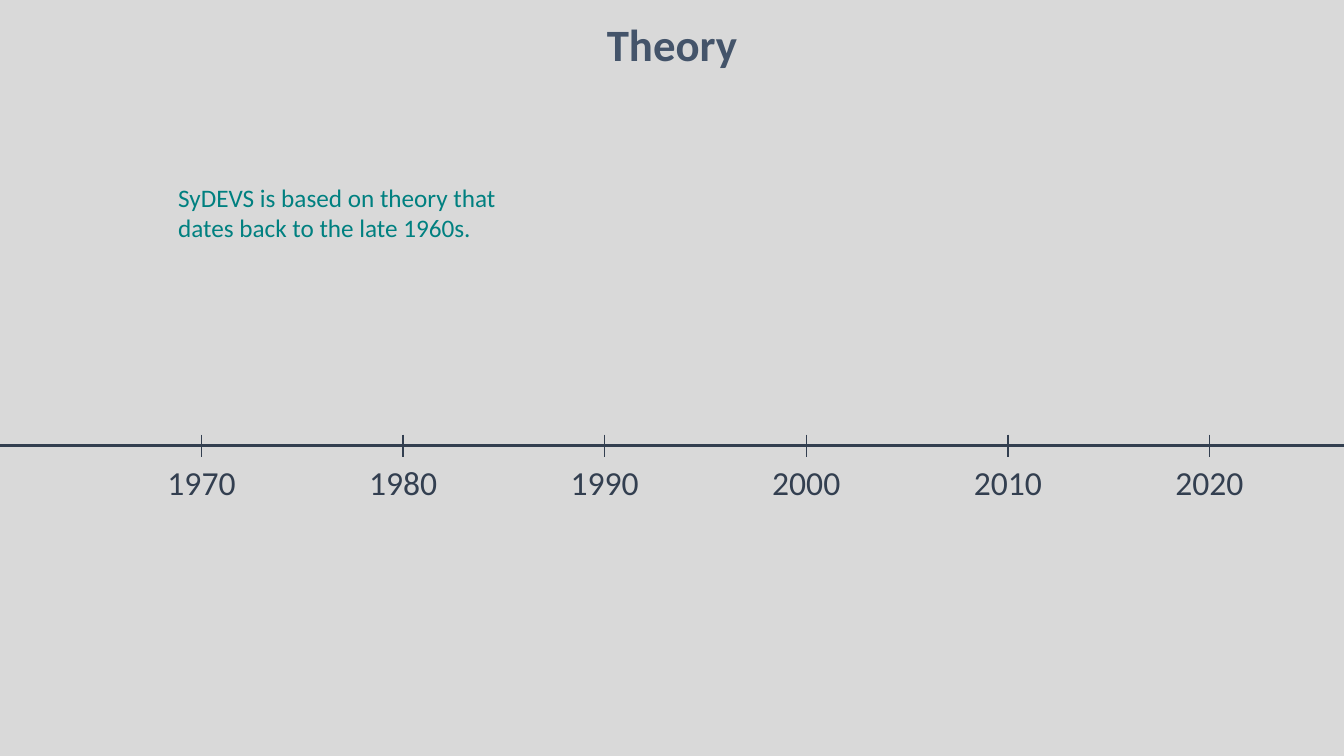
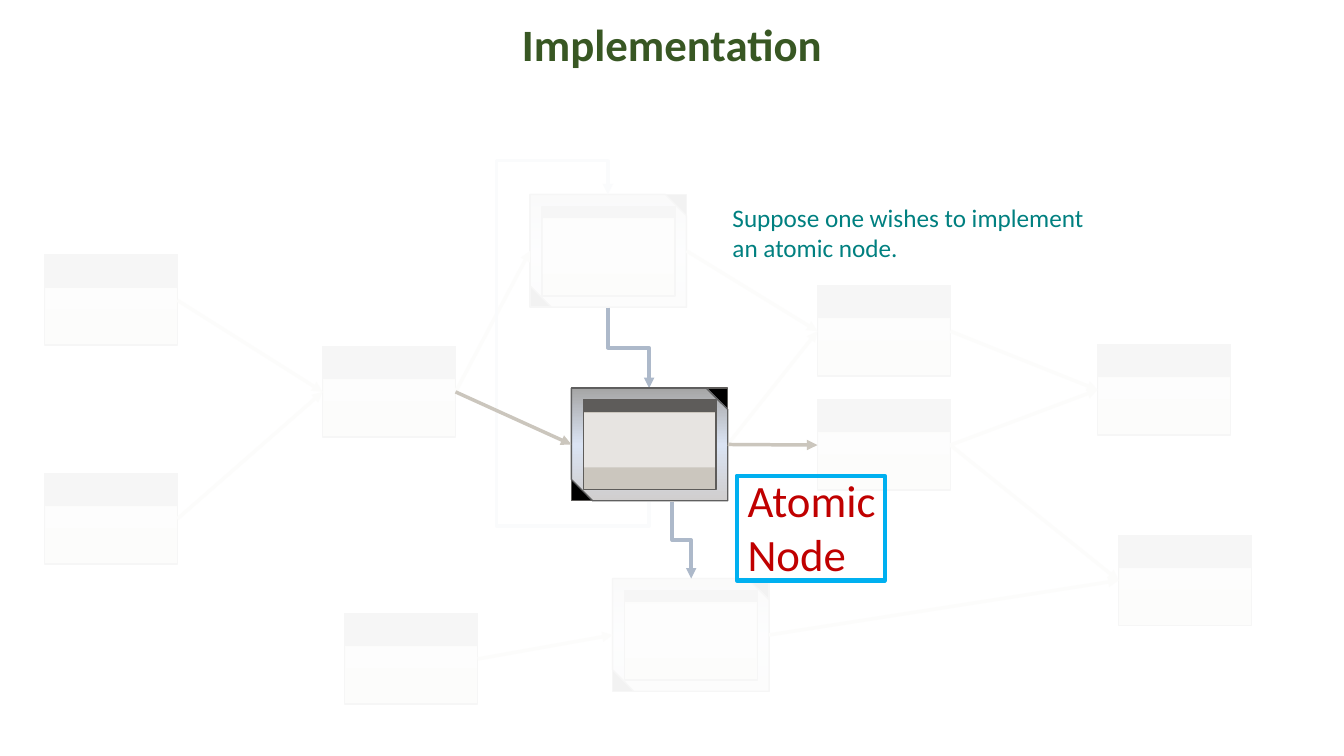
from copy import deepcopy

from lxml import etree
from pptx import Presentation
from pptx import util as u
from pptx.dml.color import RGBColor
from pptx.enum import shapes, text
from pptx.oxml.ns import qn

FONT = "Calibri"
NAVY, TEAL, SLATE, SAND = "333F50", "008080", "5E5C5A", "CBC6BD"
WIDTH, HEIGHT = 33.87, 19.05
NODE_W, NODE_H = 3.35, 2.27
FRAME_W, FRAME_H = 3.94, 2.84


def paint(part, color):
    part.rgb = RGBColor.from_string(color)


def add(parent, tag, **attrs):
    return etree.SubElement(parent, qn(tag), attrs)


def write(frame, words, size=18, color=TEAL, bold=False, align=None, space=None):
    frame.word_wrap = True
    frame.text = words
    for para in frame.paragraphs:
        para.alignment = align
        para.line_spacing = space
        font = para.font
        font.name, font.size, font.bold = FONT, u.Pt(size), bold
        paint(font.color, color)


class Deck:
    """Holds the shared style and the slide being drawn."""

    def __init__(self):
        self.show = Presentation()
        self.show.slide_width = u.Cm(WIDTH)
        self.show.slide_height = u.Cm(HEIGHT)

    def start(self, title, color, back):
        self.slide = self.show.slides.add_slide(self.show.slide_layouts[5])
        self.items = self.slide.shapes
        fill = self.slide.background.fill
        fill.solid()
        paint(fill.fore_color, back)
        head = self.items.title
        head.left, head.top = u.Cm(0), u.Cm(0.41)
        head.width, head.height = u.Cm(WIDTH), u.Cm(1.5)
        frame = head.text_frame
        frame.auto_size = text.MSO_AUTO_SIZE.NONE
        frame.vertical_anchor = text.MSO_ANCHOR.BOTTOM
        write(frame, title, 32, color, True, text.PP_ALIGN.CENTER, 0.9)

    def label(self, words, x, y, w, h, **style):
        box = self.items.add_textbox(*map(u.Cm, (x, y, w, h)))
        write(box.text_frame, words, **style)

    def rect(self, x, y, w, h, fill=None, line=None, weight=1,
             kind=shapes.MSO_SHAPE.RECTANGLE):
        box = self.items.add_shape(kind, *map(u.Cm, (x, y, w, h)))
        box.shadow.inherit = False
        if fill:
            box.fill.solid()
            paint(box.fill.fore_color, fill)
        else:
            box.fill.background()
        if line:
            paint(box.line.color, line)
            box.line.width = u.Pt(weight)
        else:
            box.line.fill.background()
        return box

    def veil(self, x, y, w, h, color, alpha):
        box = self.rect(x, y, w, h, color)
        tint = box._element.spPr.find(".//" + qn("a:srgbClr"))
        add(tint, "a:alpha", val=str(alpha * 1000))

    def line(self, start, end, color, weight, arrow=False,
             kind=shapes.MSO_CONNECTOR.STRAIGHT):
        wire = self.items.add_connector(kind, *map(u.Cm, (*start, *end)))
        paint(wire.line.color, color)
        wire.line.width = u.Pt(weight)
        if arrow:
            add(wire.line._get_or_add_ln(), "a:tailEnd", type="triangle")
        add(wire._element.spPr, "a:effectLst")
        return wire

    def link(self, start, end):
        """Draws an arrow from a node's right side, or a point, to a left side."""
        free = isinstance(start, tuple)
        wire = self.line(start if free else (0, 0), (0, 0), SAND, 2.5, True)
        if not free:
            wire.begin_connect(start, 3)
        wire.end_connect(end, 1)

    def bend(self, start, end, *adjust):
        """Draws an elbow arrow that leaves and arrives vertically."""
        (x1, y1), (x2, y2) = start, end
        mid_x, mid_y = (x1 + x2) / 2, (y1 + y2) / 2
        w, h = abs(y2 - y1) / 2, abs(x2 - x1) / 2
        wire = self.line((mid_x - w, mid_y - h), (mid_x + w, mid_y + h),
                         "ADB9CA", 2.5, True, shapes.MSO_CONNECTOR.ELBOW)
        form = wire._element.spPr.find(qn("a:xfrm"))
        form.set("rot", str((270 if y2 > y1 else 90) * 60000))
        form.set("flipH", "1")
        geom = wire._element.spPr.find(qn("a:prstGeom"))
        geom.set("prst", f"bentConnector{len(adjust) + 2}")
        guides = geom.find(qn("a:avLst"))
        for i, part in enumerate(adjust, 1):
            add(guides, "a:gd", name=f"adj{i}", fmla=f"val {round(part * 100000)}")

    def node(self, x, y):
        body = self.rect(x, y, NODE_W, NODE_H, "CBC6BE", SLATE)
        self.rect(x + 0.03, y + 0.84, 3.3, 0.53, "E7E4E1")
        self.rect(x, y, NODE_W, 0.8, SLATE, SLATE)
        return body

    def frame(self, x, y):
        back = self.rect(x, y, FRAME_W, FRAME_H, "000000", SLATE)
        rim = self.rect(x, y, FRAME_W, FRAME_H, line="5F5F5F",
                        kind=shapes.MSO_SHAPE.SNIP_2_DIAG_RECTANGLE)
        rim.adjustments[0], rim.adjustments[1] = 0, 0.19
        rim.fill.gradient()
        rim.fill.gradient_angle = 90
        stops = rim._element.spPr.find(".//" + qn("a:gsLst"))
        stops.insert(1, deepcopy(stops[0]))
        shades = (0, "D0CECE"), (0.5, "DAE3F3"), (1, "A5A5A5")
        for stop, (place, color) in zip(rim.fill.gradient_stops, shades):
            stop.position = place
            paint(stop.color, color)
        self.rect(x + 0.3, y + 0.3, NODE_W, 2.26, "CBC6BE", SLATE)
        self.rect(x + 0.32, y + 0.63, 3.3, 1.37, "E7E4E1")
        self.rect(x + 0.32, y + 0.3, 3.33, 0.28, SLATE, SLATE)
        return back


def theory(deck):
    deck.start("Theory", "44546A", "D9D9D9")
    axis, half, step = 11.23, 0.28, 5.08
    deck.line((0, axis), (WIDTH, axis), NAVY, 2)
    for i in range(6):
        x = step * (i + 1)
        deck.line((x, axis - half), (x, axis + half), NAVY, 1)
        deck.label(str(1970 + 10 * i), x - 1.69, axis + half, 3.38, 1.27,
                   size=24, color=NAVY, align=text.PP_ALIGN.CENTER)
    deck.label("SyDEVS is based on theory that dates back to the late 1960s.",
               4.24, 4.47, 8.86, 1.8)


def build(deck):
    deck.start("Implementation", "385723", "FFFFFF")
    spots = {
        "top": (1.12, 6.43), "low": (1.12, 11.94), "hub": (8.13, 8.74),
        "base": (8.69, 15.47), "upper": (20.6, 7.21), "under": (20.6, 10.08),
        "right": (27.66, 8.69), "last": (28.19, 13.49),
    }
    nodes = {name: deck.node(*spot) for name, spot in spots.items()}
    nodes["first"] = deck.frame(13.36, 4.9)
    nodes["final"] = deck.frame(15.44, 14.58)
    pairs = (
        ("top", "hub"), ("low", "hub"), ("hub", "first"), ("first", "upper"),
        ("base", "final"), ("under", "last"), ("final", "last"),
        ("upper", "right"), ("under", "right"),
    )
    for start, end in pairs:
        deck.link(nodes[start], nodes[end])
    x, y = 14.4, 9.78
    deck.link((x + FRAME_W, y + FRAME_H / 2), nodes["upper"])
    deck.bend((16.36, 12.64), (15.32, 4.9), -0.08, 3.7, 1.11)
    deck.veil(0, 2.74, WIDTH, 15.24, "FFFFFF", 95)

    deck.bend((15.32, 7.75), (16.36, y), 0.5)
    deck.bend((16.94, 12.64), (17.42, 14.58), 0.5)
    atom = deck.frame(x, y)
    deck.link(nodes["hub"], atom)
    deck.link(atom, nodes["under"])
    deck.label("Atomic\nNode", 18.59, 11.79, 5, 3, size=32, color="C00000")
    deck.rect(18.57, 11.99, 3.73, 2.64, line="00B0F0", weight=3)
    deck.label("Suppose one wishes to implement an atomic node.",
               18.21, 4.98, 9.73, 1.8)


def main():
    deck = Deck()
    theory(deck)
    build(deck)
    deck.show.save("out.pptx")


if __name__ == "__main__":
    main()
